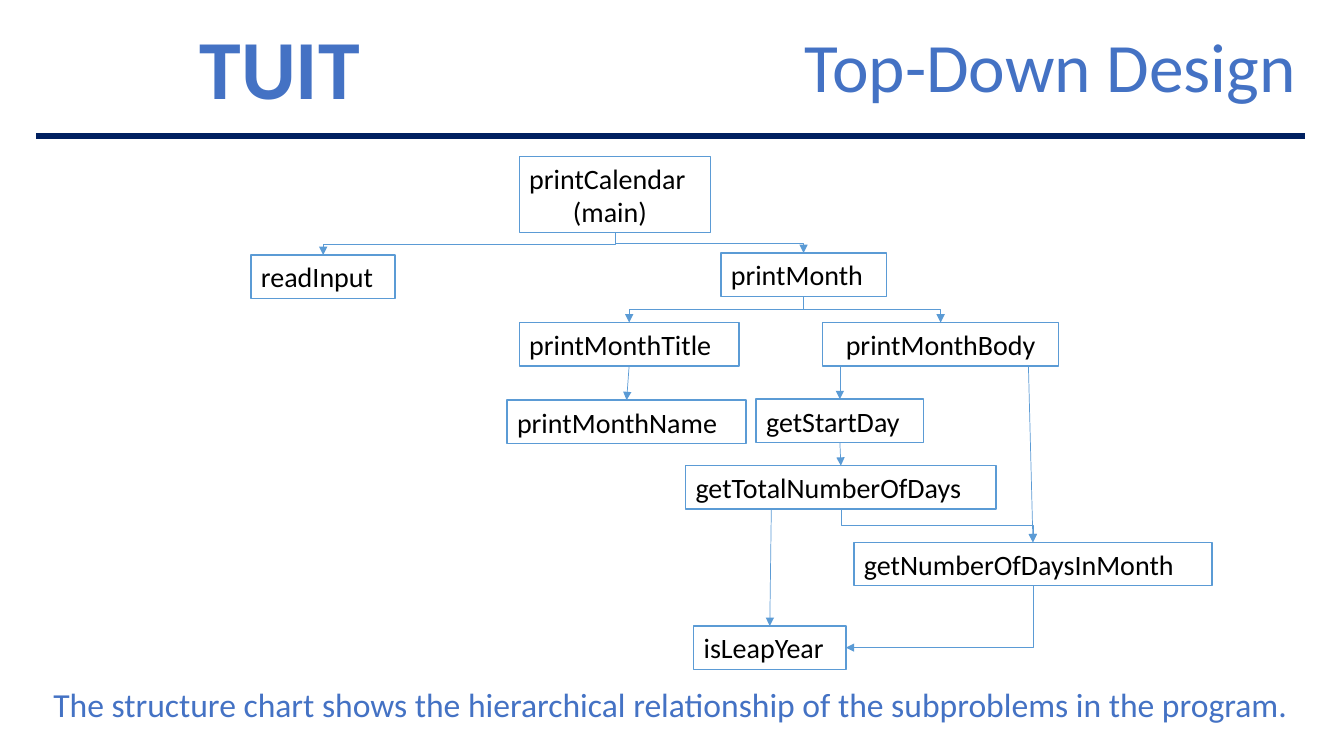
"""Build a slide with the structure chart of a calendar program."""
import pptx
import pptx.dml.color
import pptx.enum.shapes
import pptx.enum.text
import pptx.oxml.ns
import pptx.util
from lxml import etree

Inches = pptx.util.Inches
Pt = pptx.util.Pt
qn = pptx.oxml.ns.qn
ALIGN = pptx.enum.text.PP_ALIGN
ANCHOR = pptx.enum.text.MSO_ANCHOR
KIND = pptx.enum.shapes.MSO_CONNECTOR
COLORS = {"heading": "4472C4", "rule": "002060", "edge": "5B9BD5",
          "box": "FFFFFF", "label": "000000"}

prs = pptx.Presentation()
prs.slide_width, prs.slide_height = Inches(13.33), Inches(7.5)
s = prs.slides.add_slide(prs.slide_layouts[6])


def rgb(name):
    return pptx.dml.color.RGBColor.from_string(COLORS[name])


def style_line(c, color, width):
    c.line.color.rgb = rgb(color)
    c.line.width = Pt(width)
    etree.SubElement(c._element.spPr, qn("a:effectLst"))


headings = [
    ("TUIT", (1.88, 0.26, 1.93, 0.81), 60, True, ALIGN.LEFT, ANCHOR.TOP, 0.85),
    ("Top-Down Design", (4.78, 0.33, 8.17, 0.75), 49.5, False, ALIGN.RIGHT, ANCHOR.BOTTOM, 0.7),
    ("The structure chart shows the hierarchical relationship of the subproblems in the program.",
     (0.36, 6.74, 12.58, 0.6), 24, False, ALIGN.CENTER, ANCHOR.TOP, 1.0),
]
for text, frame, size, bold, align, anchor, spacing in headings:
    tf = s.shapes.add_textbox(*map(Inches, frame)).text_frame
    tf.word_wrap = True
    tf.vertical_anchor = anchor
    p = tf.paragraphs[0]
    p.text = text
    p.alignment = align
    p.line_spacing = spacing
    p.font.name = "Calibri"
    p.font.size = Pt(size)
    p.font.bold = bold
    p.font.color.rgb = rgb("heading")

rule = s.shapes.add_connector(KIND.STRAIGHT, Inches(0.36), Inches(1.35), Inches(12.94), Inches(1.35))
style_line(rule, "rule", 4.5)

functions = [
    ("printCalendar", 5.15, 1.55, 1.9),
    ("readInput", 2.49, 2.53, 1.43),
    ("printMonth", 7.15, 2.51, 1.64),
    ("printMonthTitle", 5.15, 3.2, 2.18),
    ("printMonthBody", 8.16, 3.2, 2.34),
    ("printMonthName", 5.03, 3.97, 2.37),
    ("getStartDay", 7.5, 3.96, 1.66),
    ("getTotalNumberOfDays", 6.8, 4.62, 3.08),
    ("getNumberOfDaysInMonth", 8.47, 5.38, 3.55),
    ("isLeapYear", 6.88, 6.21, 1.51),
]
boxes = {}
for name, left, top, width in functions:
    is_main = name == "printCalendar"
    sp = s.shapes.add_shape(pptx.enum.shapes.MSO_SHAPE.RECTANGLE, Inches(left), Inches(top),
                            Inches(width), Inches(0.76 if is_main else 0.43))
    sp.shadow.inherit = False
    sp.fill.solid()
    sp.fill.fore_color.rgb = rgb("box")
    sp.line.color.rgb = rgb("edge")
    sp.line.width = Pt(1)
    tf = sp.text_frame
    tf.word_wrap = True
    tf.vertical_anchor = ANCHOR.TOP
    tf.margin_right = Inches(0.2 if is_main else 0.1)
    tf.text = name + ("\n(main)" if is_main else "")
    for p in tf.paragraphs:
        p.alignment = ALIGN.CENTER if p.text in ("(main)", "printMonthBody") else ALIGN.LEFT
        p.font.name = "Calibri"
        p.font.size = Pt(20)
        p.font.color.rgb = rgb("label")
    boxes[name] = sp

calls = [
    ("printCalendar", "readInput", "bentConnector3", None),
    ("printCalendar", "printMonth", "bentConnector3", None),
    ("printMonth", "printMonthTitle", "bentConnector3", None),
    ("printMonth", "printMonthBody", "bentConnector3", None),
    ("printMonthTitle", "printMonthName", "line", None),
    ("printMonthBody", "getStartDay", "line", 8.33),
    ("printMonthBody", "getNumberOfDaysInMonth", "line", 10.2),
    ("getStartDay", "getTotalNumberOfDays", "line", None),
    ("getTotalNumberOfDays", "getNumberOfDaysInMonth", "bentConnector3", None),
    ("getNumberOfDaysInMonth", "isLeapYear", "bentConnector2", None),
    ("getTotalNumberOfDays", "isLeapYear", "line", 7.65),
]
for caller, callee, preset, start_x in calls:
    a, b = boxes[caller], boxes[callee]
    x1 = Inches(start_x) if start_x else a.left + a.width // 2
    y1 = a.top + a.height
    into_side = preset == "bentConnector2"
    x2 = b.left + (b.width if into_side else b.width // 2)
    y2 = b.top + (b.height // 2 if into_side else 0)
    c = s.shapes.add_connector(KIND.STRAIGHT if preset == "line" else KIND.ELBOW, x1, y1, x2, y2)
    if start_x is None:
        c.begin_connect(a, 2)
    c.end_connect(b, 3 if into_side else 0)
    if preset != "line":
        across, down = abs(x2 - x1), y2 - y1
        c.left, c.top = (x1 + x2 - down) // 2, (y1 + y2 - across) // 2
        c.width, c.height = down, across
        xfrm = c._element.spPr.find(qn("a:xfrm"))
        xfrm.set("rot", "5400000" if x2 < x1 else "16200000")
        xfrm.set("flipH", "0" if x2 < x1 else "1")
        xfrm.set("flipV", "0")
        c._element.spPr.find(qn("a:prstGeom")).set("prst", preset)
    style_line(c, "edge", 0.5)
    etree.SubElement(c.line._get_or_add_ln(), qn("a:tailEnd"), type="triangle")

prs.save("out.pptx")
